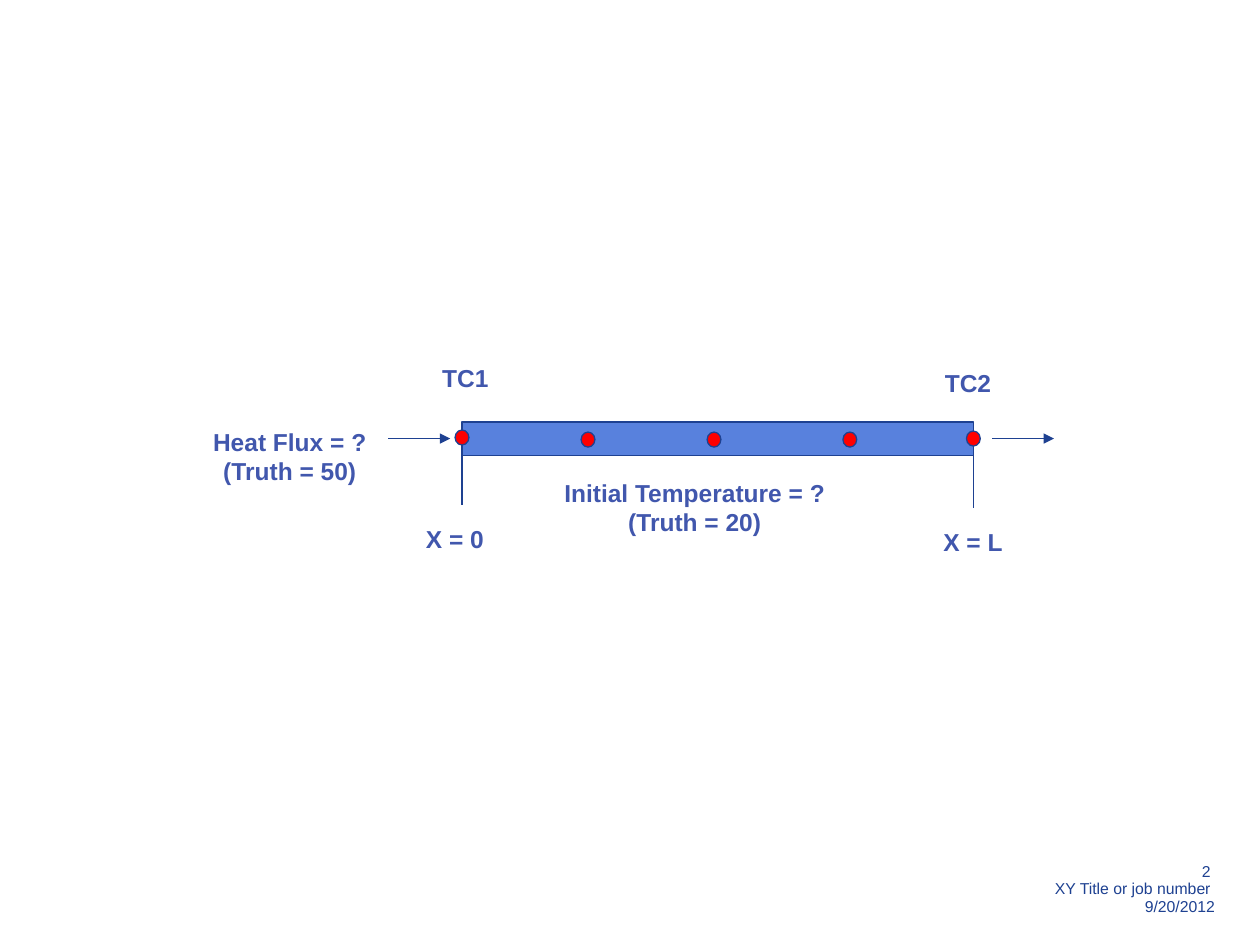
from lxml import etree
from pptx import Presentation
from pptx.dml.color import RGBColor
from pptx.enum.shapes import MSO_CONNECTOR, MSO_SHAPE
from pptx.enum.text import MSO_AUTO_SIZE, PP_ALIGN
from pptx.oxml.ns import qn
from pptx.util import Pt

RECT, OVAL = MSO_SHAPE.RECTANGLE, MSO_SHAPE.OVAL
LINE = MSO_CONNECTOR.STRAIGHT
MID, RIGHT = PP_ALIGN.CENTER, PP_ALIGN.RIGHT
GROW = MSO_AUTO_SIZE.SHAPE_TO_FIT_TEXT

NAVY, BLUE, BAR, RED = "1E4191", "4157AD", "5881DD", "FF0000"
FONT = "Arial"
DOT_W, DOT_H = 7.9, 8.6
LEFT_X, RIGHT_X = 264, 556.2  # ends of the rod
AXIS_Y = 250.6


def color(code):
    return RGBColor.from_string(code)


def add_shape(slide, kind, x, y, w, h, fill):
    shape = slide.shapes.add_shape(kind, Pt(x), Pt(y), Pt(w), Pt(h))
    shape.shadow.inherit = False
    shape.fill.solid()
    shape.fill.fore_color.rgb = color(fill)
    shape.line.color.rgb = color(NAVY)
    shape.line.width = Pt(0.75)


def add_dot(slide, x, y):
    add_shape(slide, OVAL, x - DOT_W / 2, y - DOT_H / 2, DOT_W, DOT_H, RED)


def add_line(slide, x1, y1, x2, y2, arrow=False):
    line = slide.shapes.add_connector(LINE, Pt(x1), Pt(y1), Pt(x2), Pt(y2))
    line.line.color.rgb = color(NAVY)
    line.line.width = Pt(0.75)
    if arrow:
        etree.SubElement(line.line._get_or_add_ln(), qn("a:tailEnd"), type="triangle")
    etree.SubElement(line._element.spPr, qn("a:effectLst"))


def add_text(slide, x, y, w, h, text, size, ink, align, bold=False, wrap=False, space=1.0):
    box = slide.shapes.add_textbox(Pt(x), Pt(y), Pt(w), Pt(h))
    frame = box.text_frame
    frame.word_wrap = wrap
    frame.auto_size = GROW
    frame.text = text
    for par in frame.paragraphs:
        par.alignment = align
        par.line_spacing = space
        par.font.name = FONT
        par.font.size = Pt(size)
        par.font.bold = bold
        par.font.color.rgb = color(ink)


def add_label(slide, mid, y, w, text):
    h = 41 if "\n" in text else 24
    add_text(slide, mid - w / 2, y, w, h, text, 14, BLUE, MID, bold=True)


def main():
    deck = Presentation()
    deck.slide_width, deck.slide_height = Pt(720), Pt(540)
    slide = deck.slides.add_slide(deck.slide_layouts[6])

    # Footer
    add_text(slide, 507.6, 490.3, 193.7, 36.7,
             "2 \nXY Title or job number \n9/20/2012",
             9, NAVY, RIGHT, wrap=True, space=0.9)

    # Rod, end marks and heat flow
    add_shape(slide, RECT, LEFT_X, 241.2, RIGHT_X - LEFT_X, 19, BAR)
    add_line(slide, LEFT_X, 248.4, LEFT_X, 288.6)
    add_line(slide, RIGHT_X, AXIS_Y, RIGHT_X, 290.2)
    for x in (222, 567):
        add_line(slide, x, AXIS_Y, x + 35.3, AXIS_Y, arrow=True)

    # Measuring points
    for x, y in ((LEFT_X, 250), (336, 251.2), (408, 251.2),
                 (485.6, 251.2), (RIGHT_X, AXIS_Y)):
        add_dot(slide, x, y)

    # Labels
    for mid, y, w, text in (
        (266, 203.8, 41, "TC1"),
        (553.2, 206.6, 41, "TC2"),
        (260, 295.9, 47.5, "X = 0"),
        (556, 297.8, 48.2, "X = L"),
        (165.6, 240.5, 102.2, "Heat Flux = ?\n(Truth = 50)"),
        (397, 269.5, 164.2, "Initial Temperature = ?\n(Truth = 20)"),
    ):
        add_label(slide, mid, y, w, text)

    deck.save("out.pptx")


if __name__ == "__main__":
    main()
